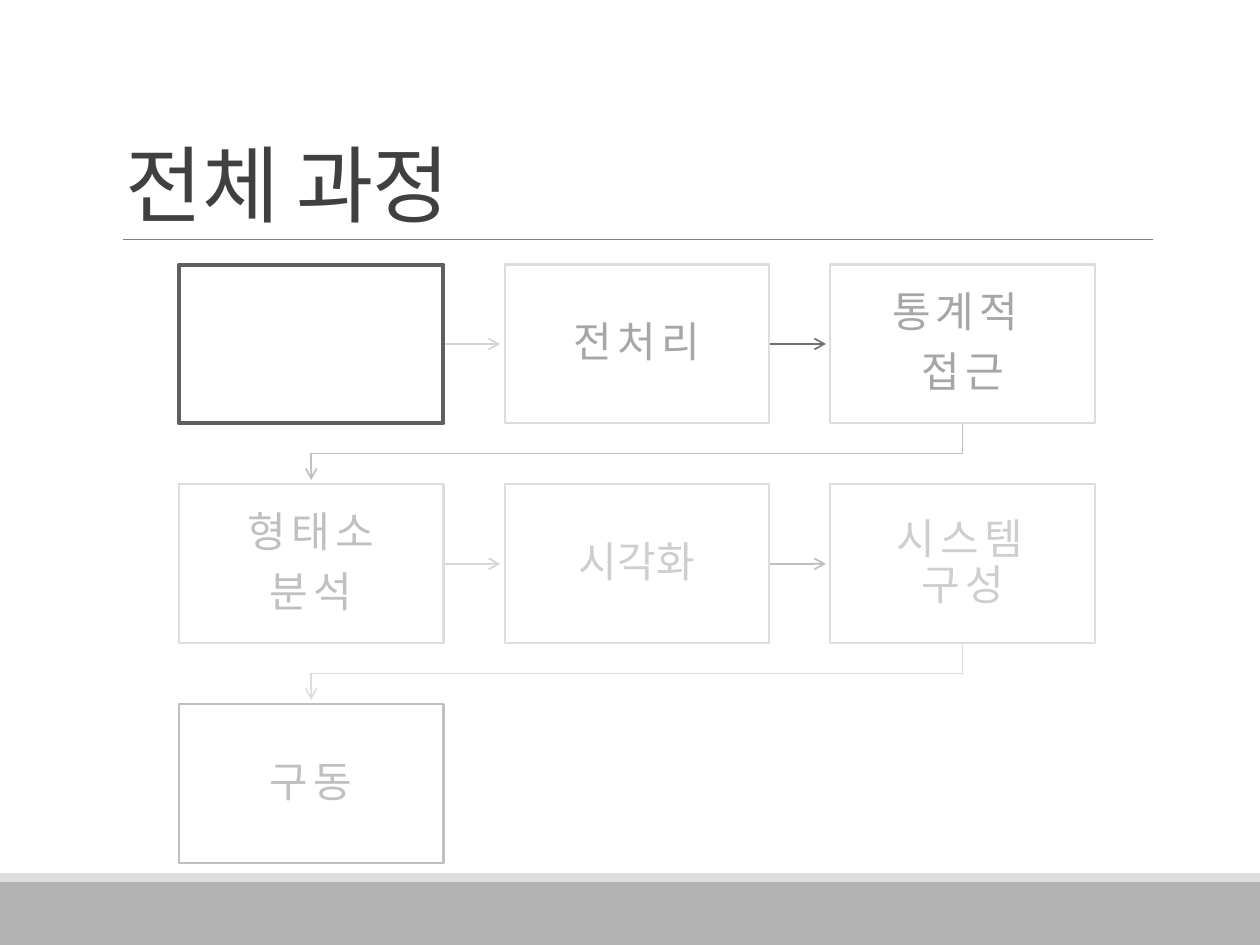
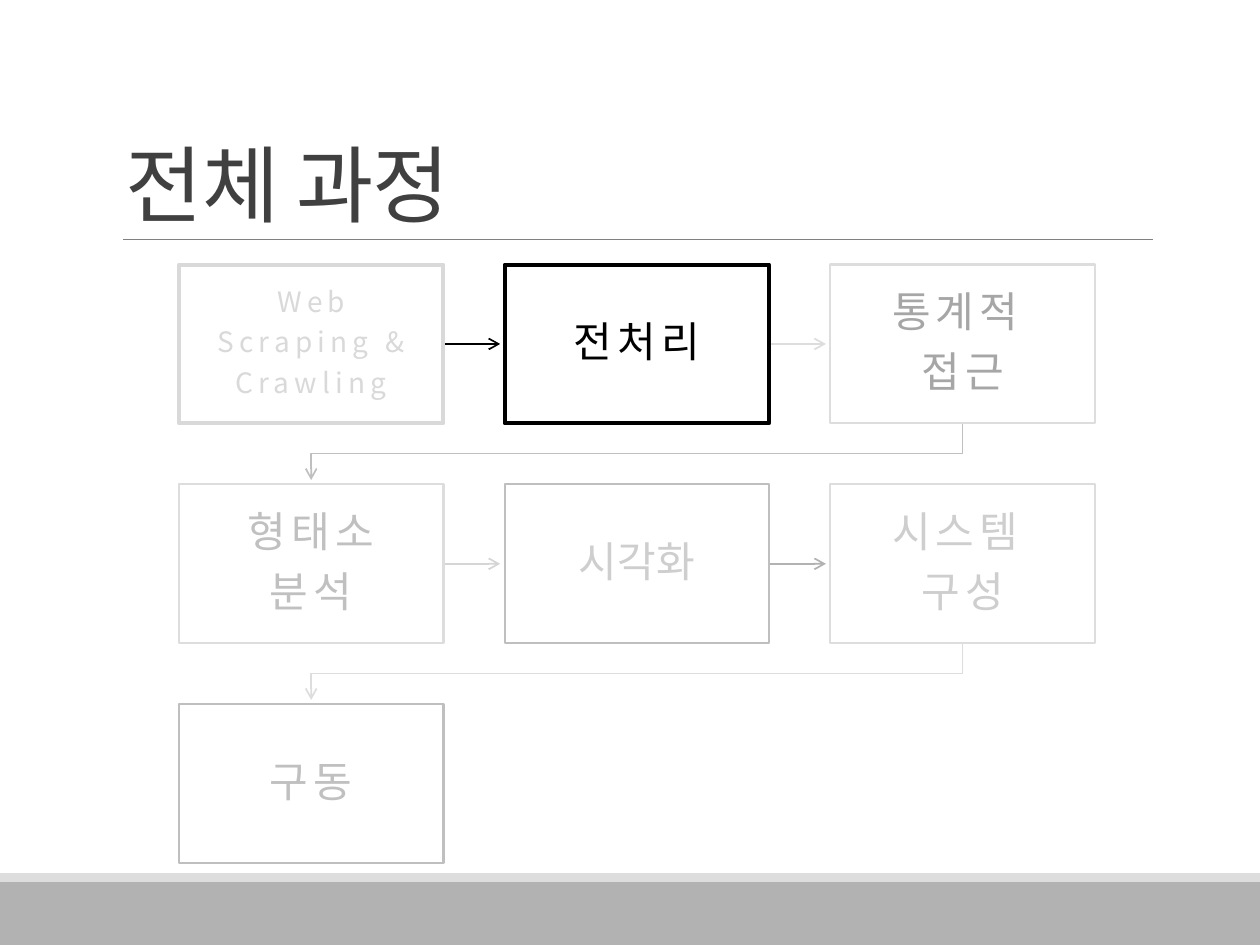
"""Build two slides that walk through the overall process as a chain of steps."""
from lxml.etree import SubElement
from pptx import Presentation
from pptx.dml.color import RGBColor
from pptx.enum.shapes import MSO_CONNECTOR, MSO_SHAPE
from pptx.enum.text import MSO_ANCHOR, PP_ALIGN
from pptx.oxml.ns import qn
from pptx.util import Inches, Pt

FONT = "Noto Sans CJK KR"
COLORS = {
    "white": "FFFFFF", "black": "000000", "title": "404040", "rule": "808080",
    "footer": "B2B2B2", "pale": "DDDDDD", "faded": "D9D9D9", "faint": "D5D5D5",
    "dim": "CECECE", "soft": "C0C0C0", "silver": "BFBFBF", "mid": "A6A6A6",
    "strong": "707070", "active": "5F5F5F",
}
STEP_W, STEP_H = 2.1, 1.26
FIRST_LEFT, LAST_LEFT = 1.42, 6.59
FIRST_TOP, LAST_TOP = 2.1, 5.59
COLUMN_PITCH = (LAST_LEFT - FIRST_LEFT) / 2
ROW_PITCH = (LAST_TOP - FIRST_TOP) / 2
ARROW_LENGTH, ELBOW_DROP = 0.45, 0.24

collecting = ([], "faded", "active", 2.25, 16, 3)
preprocessing = (["전처리"], "mid", "pale", 1.25, 24, 3)
statistics = (["통계적 ", "접근"], "mid", "pale", 1.25, 24, 3)
morphemes = (["형태소", "분석"], "soft", "pale", 1.25, 24, 3)
visualizing = (["시각화"], "dim", "pale", 1.25, 24, 0)
system = (["시스템 구성"], "dim", "pale", 1.25, 24, 3)
running = (["구동"], "soft", "silver", 1.25, 24, 3)

scraping = (["Web", "Scraping &", "Crawling"], "faded", "faded", 2.25, 16, 3)
preprocessing_now = (["전처리"], "black", "black", 2.25, 24, 3)
visualizing_next = (["시각화"], "dim", "silver", 1.25, 24, 0)
system_split = (["시스템 ", "구성"], "dim", "pale", 1.25, 24, 3)

STAGES = [
    ([collecting, preprocessing, statistics, morphemes, visualizing, system, running],
     ["faint", "strong", "silver", "faint", "silver", "pale"]),
    ([scraping, preprocessing_now, statistics, morphemes, visualizing_next, system_split, running],
     ["black", "pale", "silver", "faint", "footer", "pale"]),
]


def style_line(shape, color, width, arrow=False):
    shape.line.color.rgb = RGBColor.from_string(COLORS[color])
    shape.line.width = Pt(width)
    properties = shape._element.spPr
    if arrow:
        SubElement(properties.find(qn("a:ln")), qn("a:tailEnd"), type="arrow")
    SubElement(properties, qn("a:effectLst"))


def add_text(paragraph, text, size, color, tracking, spacing):
    paragraph.line_spacing = spacing
    run = paragraph.add_run()
    run.text = text
    run.font.size = Pt(size)
    run.font.name = FONT
    run.font.color.rgb = RGBColor.from_string(COLORS[color])
    properties = run._r.get_or_add_rPr()
    properties.set("spc", str(int(tracking * 100)))
    SubElement(properties, qn("a:ea"), typeface=FONT)


prs = Presentation()
prs.slide_width = Inches(10)
prs.slide_height = Inches(7.5)

for steps, arrow_colors in STAGES:
    slide = prs.slides.add_slide(prs.slide_layouts[6])
    shapes = slide.shapes

    for top, height, color in [(7, 0.5, "footer"), (6.93, 0.07, "pale")]:
        band = shapes.add_shape(MSO_SHAPE.RECTANGLE, 0, Inches(top), prs.slide_width, Inches(height))
        band.fill.solid()
        band.fill.fore_color.rgb = RGBColor.from_string(COLORS[color])
        band.line.fill.background()
        band.shadow.inherit = False

    rule = shapes.add_connector(MSO_CONNECTOR.STRAIGHT, Inches(0.98), Inches(1.9), Inches(9.15), Inches(1.9))
    style_line(rule, "rule", 0.5)

    title = shapes.add_textbox(Inches(0.9), Inches(0.31), Inches(8.25), Inches(1.59)).text_frame
    title.word_wrap = True
    title.vertical_anchor = MSO_ANCHOR.BOTTOM
    add_text(title.paragraphs[0], "전체 과정", 48, "title", -0.5, 0.85)

    for index, (lines, text_color, border, width, size, tracking) in enumerate(steps):
        row, column = divmod(index, 3)
        left = FIRST_LEFT + column * COLUMN_PITCH
        top = FIRST_TOP + row * ROW_PITCH

        if index < len(arrow_colors):
            if column < 2:
                start, middle = left + STEP_W, top + STEP_H / 2
                arrow = shapes.add_connector(MSO_CONNECTOR.STRAIGHT, Inches(start), Inches(middle),
                                             Inches(start + ARROW_LENGTH), Inches(middle))
            else:
                start, end = left + STEP_W / 2, FIRST_LEFT + STEP_W / 2
                bottom = top + STEP_H
                turn = bottom + ELBOW_DROP
                route = shapes.build_freeform(Inches(start), Inches(bottom))
                route.add_line_segments(
                    [(Inches(start), Inches(turn)), (Inches(end), Inches(turn)),
                     (Inches(end), Inches(bottom + ARROW_LENGTH))], close=False)
                arrow = route.convert_to_shape()
                arrow.fill.background()
            style_line(arrow, arrow_colors[index], 1, arrow=True)

        step = shapes.add_shape(MSO_SHAPE.RECTANGLE, Inches(left), Inches(top), Inches(STEP_W), Inches(STEP_H))
        step.fill.solid()
        step.fill.fore_color.rgb = RGBColor.from_string(COLORS["white"])
        style_line(step, border, width)

        frame = step.text_frame
        frame.word_wrap = True
        frame.vertical_anchor = MSO_ANCHOR.MIDDLE
        inset = Inches(0.14 if size == 16 else 0.19)
        frame.margin_left = frame.margin_right = frame.margin_top = frame.margin_bottom = inset
        for number, line in enumerate(lines):
            paragraph = frame.add_paragraph() if number else frame.paragraphs[0]
            paragraph.alignment = PP_ALIGN.CENTER
            paragraph.space_after = Pt(size * 0.35)
            add_text(paragraph, line, size, text_color, tracking, 0.9)

prs.save("out.pptx")
